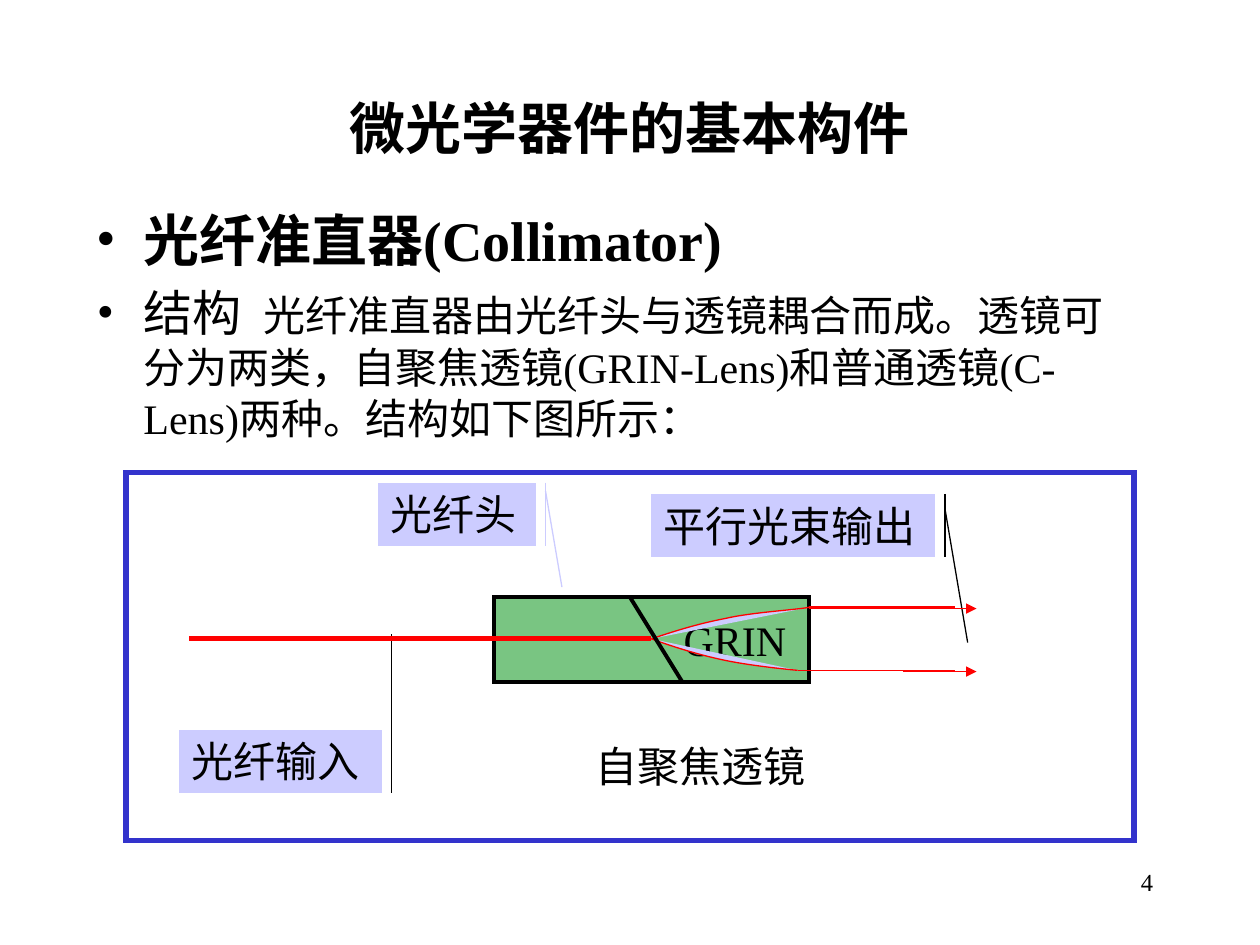
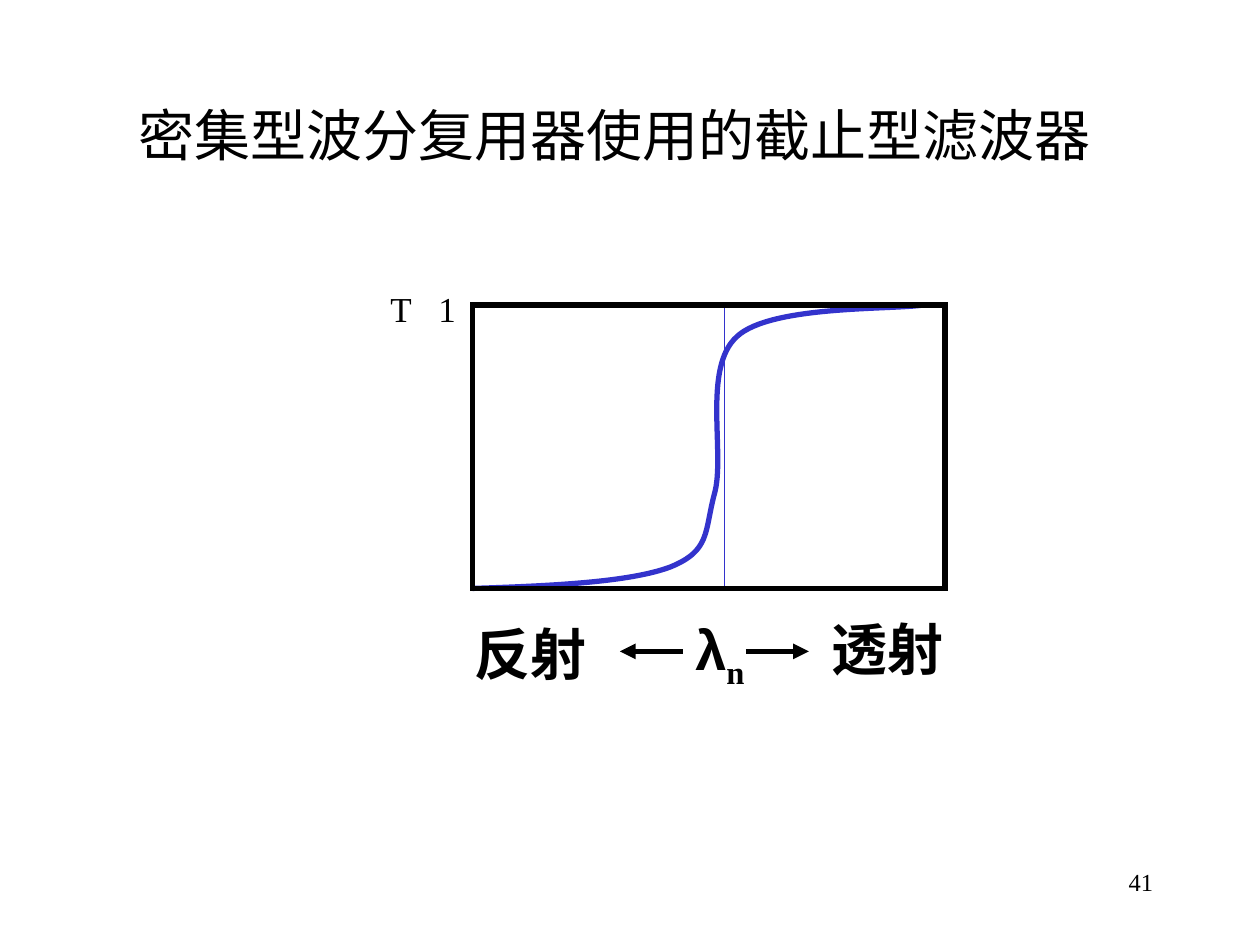
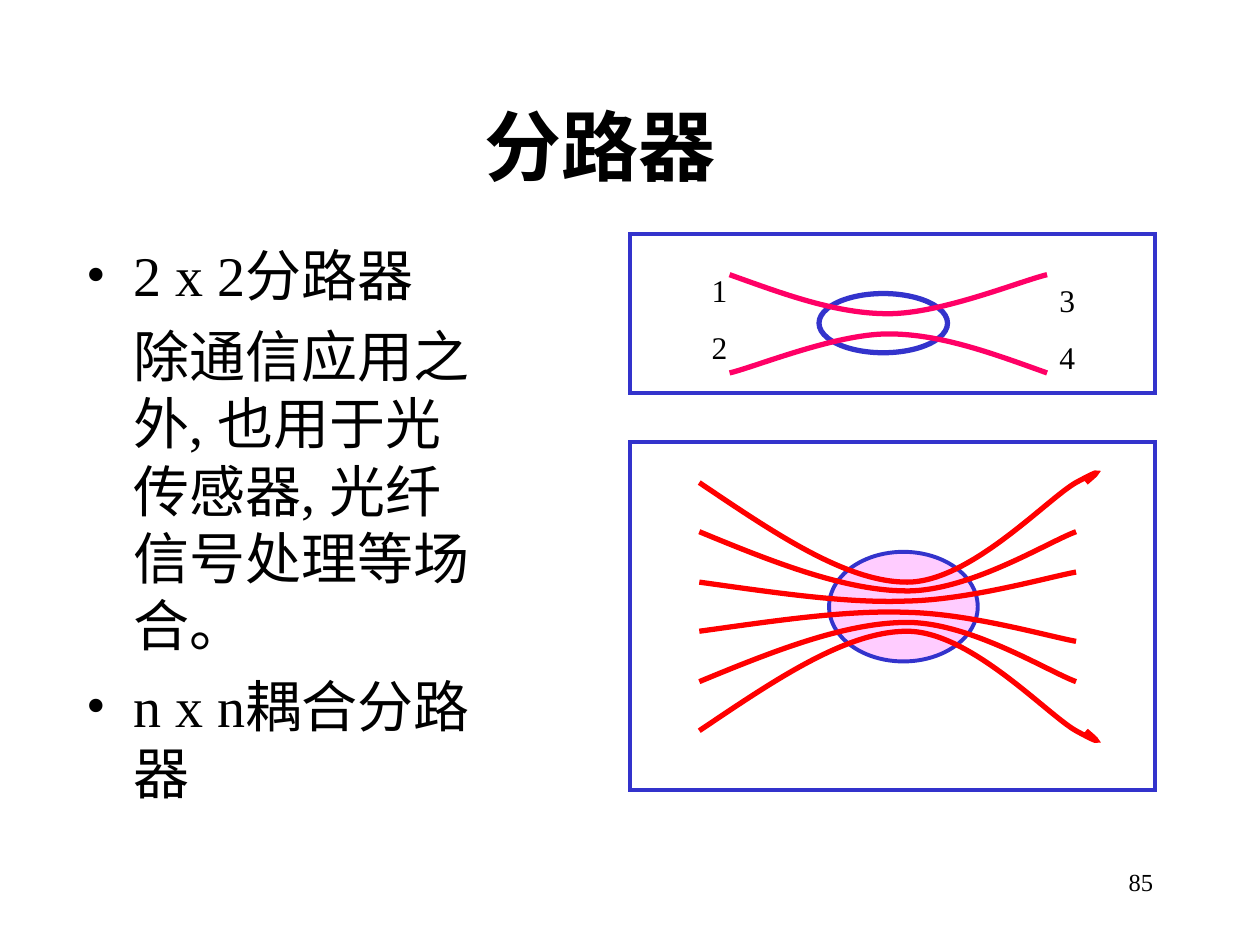
from lxml.etree import SubElement
from pptx import Presentation
from pptx.dml.color import RGBColor
from pptx.enum.shapes import MSO_CONNECTOR, MSO_SHAPE
from pptx.enum.text import MSO_ANCHOR, PP_ALIGN
from pptx.oxml.ns import qn
from pptx.util import Inches, Pt

BLACK, WHITE, RED, PINK = "000000", "FFFFFF", "FF0000", "FF0066"
BLUE, LAVENDER, GREEN, ROSE = "3333CC", "CCCCFF", "79C582", "FFCCFF"
LEFT, CENTER, RIGHT = PP_ALIGN.LEFT, PP_ALIGN.CENTER, PP_ALIGN.RIGHT
TOP, MIDDLE = MSO_ANCHOR.TOP, MSO_ANCHOR.MIDDLE
SERIF = "Times New Roman"


def paint(part, line=None, width=0.75, fill=None, arrow=False):
    if hasattr(part, "fill"):
        if fill:
            part.fill.solid()
            part.fill.fore_color.rgb = RGBColor.from_string(fill)
        else:
            part.fill.background()
    properties = part._element.spPr
    if line:
        part.line.width = Pt(width)
        part.line.color.rgb = RGBColor.from_string(line)
        outline = properties.find(qn("a:ln"))
        SubElement(outline, qn("a:miter"), lim="800000")
        if arrow:
            SubElement(outline, qn("a:tailEnd"), type="triangle")
    else:
        part.line.fill.background()
    SubElement(properties, qn("a:effectLst"))


def write(part, text, size=24, bold=False, font=SERIF, align=LEFT, anchor=TOP,
          indent=0, bullet=False, tab=None, before=0, baseline=0, same_line=False):
    frame = part.text_frame
    frame.word_wrap = True
    frame.vertical_anchor = anchor
    paragraph = frame.paragraphs[-1]
    if paragraph.runs and not same_line:
        paragraph = frame.add_paragraph()
    if not same_line:
        layout = paragraph._p.get_or_add_pPr()
        if indent:
            layout.set("marL", str(Inches(indent)))
        if bullet:
            layout.set("indent", str(-Inches(indent)))
            SubElement(layout, qn("a:buFont"), typeface=SERIF)
            SubElement(layout, qn("a:buChar"), char="•")
        if tab:
            stops = SubElement(layout, qn("a:tabLst"))
            SubElement(stops, qn("a:tab"), pos=str(Inches(tab)), algn="l")
        paragraph.alignment = align
        if before:
            paragraph.space_before = Pt(before)
    run = paragraph.add_run()
    run.text = text
    run.font.size = Pt(size)
    run.font.bold = bold
    run.font.name = font
    run.font.color.rgb = RGBColor.from_string(BLACK)
    if baseline:
        run._r.get_or_add_rPr().set("baseline", str(baseline * 1000))


deck = Presentation()
deck.slide_width, deck.slide_height = Inches(10), Inches(7.5)
collimator, cutoff, splitter = [deck.slides.add_slide(deck.slide_layouts[6]) for _ in range(3)]

for slide, number in ((collimator, "4"), (cutoff, "41"), (splitter, "85")):
    page = slide.shapes.add_textbox(Inches(7.17), Inches(6.83), Inches(2.08), Inches(0.5))
    write(page, number, size=14, align=RIGHT)

headings = [
    (collimator, (0.75, 0.67, 8.5, 0.67), "微光学器件的基本构件", 32, True, CENTER, MIDDLE),
    (cutoff, (1, 0.75, 7.92, 0.64), "密集型波分复用器使用的截止型滤波器", 32, False, LEFT, TOP),
    (splitter, (2.09, 0.67, 5.35, 0.96), "分路器", 44, True, CENTER, MIDDLE),
]
for slide, box, text, size, bold, align, anchor in headings:
    title = slide.shapes.add_textbox(*map(Inches, box))
    write(title, text, size=size, bold=bold, align=align, anchor=anchor)

structure = collimator.shapes.add_textbox(Inches(0.67), Inches(1.58), Inches(8.5), Inches(2))
write(structure, "光纤准直器(Collimator)", size=32, bold=True, indent=0.37, bullet=True)
write(structure, "结构", size=28, indent=0.37, bullet=True, tab=1.32, before=6)
write(structure, "\t光纤准直器由光纤头与透镜耦合而成。透镜可分为两类，自聚焦透镜(GRIN-Lens)"
      "和普通透镜(C-Lens)两种。结构如下图所示：", same_line=True)

uses = splitter.shapes.add_textbox(Inches(0.59), Inches(1.86), Inches(3.38), Inches(4.73))
write(uses, "2 x 2分路器", size=32, indent=0.37, bullet=True)
write(uses, "除通信应用之外, 也用于光传感器, 光纤信号处理等场合。", size=32, indent=0.37, before=8)
write(uses, "n x n耦合分路器", size=32, indent=0.37, bullet=True, before=8)

lens = collimator.shapes.add_shape(
    MSO_SHAPE.RECTANGLE, Inches(3.92), Inches(4.74), Inches(2.5), Inches(0.67))
paint(lens, BLACK, 2.25, GREEN)
lens.text_frame.margin_right = Inches(0.18)
write(lens, "GRIN", align=RIGHT, anchor=MIDDLE)

lens_name = collimator.shapes.add_shape(
    MSO_SHAPE.RECTANGLE, Inches(4.63), Inches(5.83), Inches(2.04), Inches(0.5))
paint(lens_name)
write(lens_name, "自聚焦透镜")

callouts = [
    ("光纤输入", (1.42, 5.79, 1.61, 0.5), (3.11, 5.86), (3.11, 5.03), BLACK),
    ("平行光束输出", (5.17, 3.92, 2.25, 0.5), (7.5, 4.04), (7.68, 5.1), BLACK),
    ("光纤头", (3, 3.83, 1.25, 0.5), (4.33, 3.9), (4.46, 4.66), LAVENDER),
]
for text, box, bend, tip, colour in callouts:
    callout = collimator.shapes.add_shape(
        MSO_SHAPE.LINE_CALLOUT_1_ACCENT_BAR, *map(Inches, box))
    left, top, width, height = box
    for index, (x, y) in enumerate((bend, tip)):
        callout.adjustments[2 * index] = (y - top) / height
        callout.adjustments[2 * index + 1] = (x - left) / width
    paint(callout, colour, fill=LAVENDER)
    write(callout, text)

for box, colour, width in (((6.5, 2.33, 1.02, 0.47), WHITE, 3),
                           ((6.58, 4.38, 1.18, 0.87), ROSE, 2.25)):
    coupling = splitter.shapes.add_shape(MSO_SHAPE.OVAL, *map(Inches, box))
    paint(coupling, BLUE, width, colour)

labels = [
    (cutoff, (6.5, 4.83, 1.67, 0.64), ["透射"], 32, True),
    (cutoff, (3.67, 4.87, 1.42, 0.64), ["反射"], 32, True),
    (cutoff, (3, 2.23, 0.75, 0.44), ["T\t1"], 20, False),
    (splitter, (5.55, 2.1, 0.55, 0.86), ["1", "2"], 18, False),
    (splitter, (8.31, 2.18, 0.71, 0.86), ["3", "4"], 18, False),
]
for slide, box, lines, size, bold in labels:
    label = slide.shapes.add_textbox(*map(Inches, box))
    for index, text in enumerate(lines):
        write(label, text, size=size, bold=bold, before=11.2 * index,
              tab=0.38 if "\t" in text else None)

wavelength = cutoff.shapes.add_textbox(Inches(5.42), Inches(4.83), Inches(0.67), Inches(0.71))
write(wavelength, "λ", size=32, bold=True, font="Arial")
write(wavelength, "n", size=32, bold=True, baseline=-25, same_line=True)

outer_tap = [(5.55, 3.83), (6.13, 4.22), (6.71, 4.62), (7.2, 4.62), (7.7, 4.62), (8.31, 3.96),
             (8.54, 3.83), (8.78, 3.7), (8.7, 3.76), (8.62, 3.83)]
middle_tap = [(5.55, 4.22), (6.13, 4.46), (6.71, 4.69), (7.2, 4.69), (7.7, 4.69), (8.32, 4.3),
              (8.54, 4.22)]
inner_tap = [(5.55, 4.62), (6.13, 4.7), (6.71, 4.79), (7.2, 4.77), (7.7, 4.76), (8.32, 4.58),
             (8.54, 4.54)]
fibre = [(5.79, 2.18), (6.21, 2.33), (6.63, 2.49), (7.05, 2.49), (7.47, 2.49), (8.1, 2.23),
         (8.31, 2.18)]
transmission = [(3.75, 4.67), (4.38, 4.65), (5, 4.62), (5.32, 4.5), (5.64, 4.37), (5.59, 4.22),
                (5.67, 3.92), (5.76, 3.61), (5.57, 2.92), (5.85, 2.67), (6.12, 2.42),
                (7.09, 2.46), (7.33, 2.42)]
upper_ray = [(5.17, 5.07), (5.35, 5.01), (5.54, 4.95), (5.75, 4.91), (5.96, 4.86), (6.32, 4.84),
             (6.42, 4.82)]
lower_ray = [(5.17, 5.07), (5.36, 5.14), (5.56, 5.2), (5.75, 5.24), (5.94, 5.28), (6.22, 5.31),
             (6.33, 5.32)]
curves = [
    (collimator, upper_ray, RED, 0.75, LAVENDER),
    (collimator, lower_ray, RED, 0.75, LAVENDER),
    (cutoff, transmission, BLUE, 3, None),
    (splitter, fibre, PINK, 3, None),
    (splitter, [(14.1 - x, 5.14 - y) for x, y in fibre], PINK, 3, None),
]
for tap in (outer_tap, middle_tap, inner_tap):
    curves.append((splitter, tap, RED, 3, None))
    curves.append((splitter, [(x, 9.63 - y) for x, y in tap], RED, 3, None))

for slide, knots, colour, width, fill in curves:
    start, *controls = [(Inches(x), Inches(y)) for x, y in knots]
    builder = slide.shapes.build_freeform(*start)
    builder.add_line_segments(controls, close=False)
    curve = builder.convert_to_shape()
    outline = next(curve._element.iter(qn("a:path")))
    segments = outline.findall(qn("a:lnTo"))
    for first in range(0, len(segments), 3):
        bezier = SubElement(outline, qn("a:cubicBezTo"))
        for segment in segments[first:first + 3]:
            bezier.append(segment[0])
            outline.remove(segment)
    paint(curve, colour, width, fill)

strokes = [
    (collimator, (5, 4.74, 5.42, 5.42), BLACK, 2.25, False),
    (collimator, (1.5, 5.07, 5.17, 5.07), RED, 3, False),
    (collimator, (6.42, 4.82, 7.58, 4.82), RED, 1.5, False),
    (collimator, (6.33, 5.32, 7.58, 5.32), RED, 0.75, False),
    (collimator, (7.25, 4.83, 7.75, 4.83), RED, 0.75, True),
    (collimator, (7.17, 5.33, 7.75, 5.33), RED, 0.75, True),
    (cutoff, (5.75, 2.42, 5.75, 4.67), BLUE, 0.75, False),
    (cutoff, (5.92, 5.17, 6.42, 5.17), BLACK, 3, True),
    (cutoff, (5.42, 5.17, 4.92, 5.17), BLACK, 3, True),
]
for slide, ends, colour, width, arrow in strokes:
    stroke = slide.shapes.add_connector(MSO_CONNECTOR.STRAIGHT, *map(Inches, ends))
    paint(stroke, colour, width, arrow=arrow)

frames = [
    (collimator, (1, 3.75, 8, 2.92), BLUE, 3),
    (cutoff, (3.75, 2.42, 3.75, 2.25), BLACK, 3),
    (splitter, (5, 1.86, 4.17, 1.26), BLUE, 2.25),
    (splitter, (5, 3.51, 4.17, 2.76), BLUE, 2.25),
]
for slide, box, colour, width in frames:
    frame = slide.shapes.add_shape(MSO_SHAPE.RECTANGLE, *map(Inches, box))
    paint(frame, colour, width)

deck.save("out.pptx")
